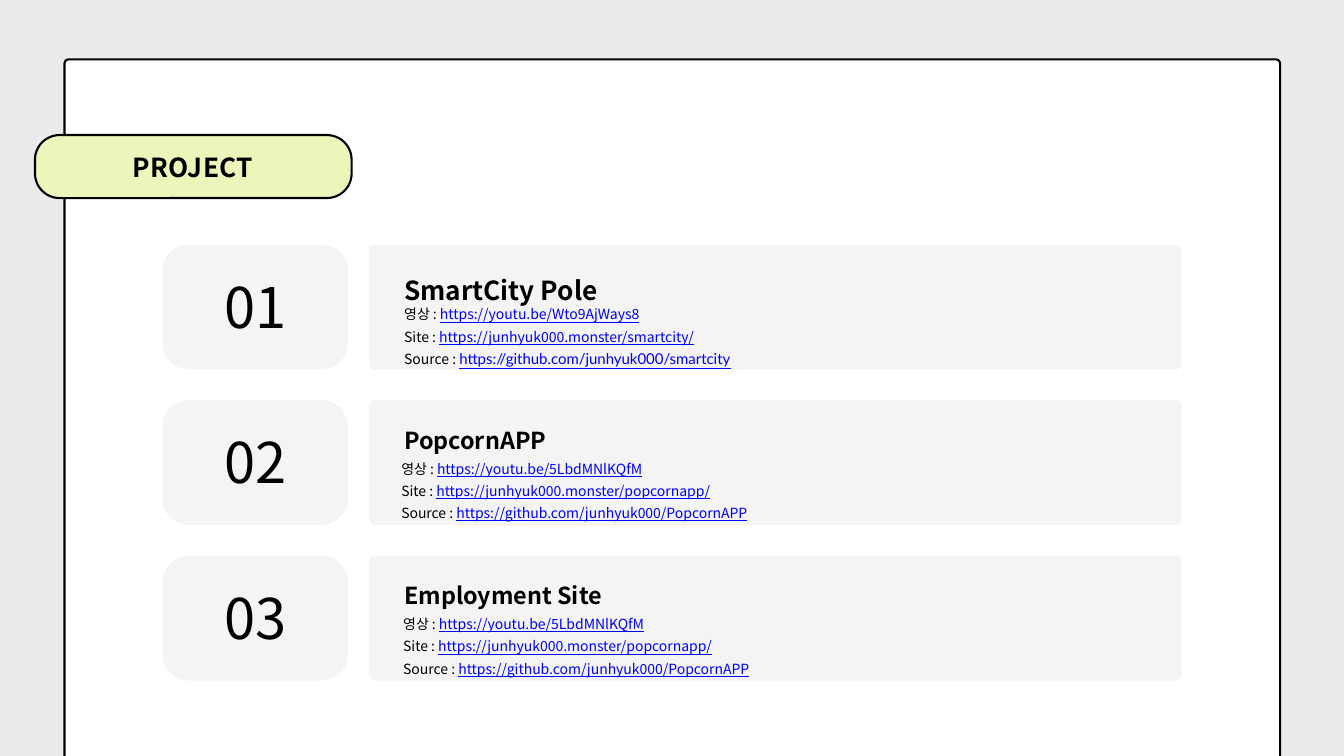
from dataclasses import dataclass

from lxml import etree
from pptx import Presentation
from pptx.dml.color import RGBColor
from pptx.enum.shapes import MSO_SHAPE as Shape
from pptx.enum.text import PP_ALIGN as Align
from pptx.oxml.ns import qn
from pptx.util import Pt

FONT = "Noto Sans CJK KR"
BLACK, BLUE, PANEL = "000000", "0000FF", "F4F4F4"
FIRST_ROW, ROW_PITCH, ROW_HEIGHT = 174.7, 111.1, 89.2


@dataclass(frozen=True)
class Link:
    label: str
    url: str
    font: str = FONT
    size: float = 10


@dataclass(frozen=True)
class Project:
    title: str
    title_size: float
    title_spacing: float
    links_left: float
    links_offset: float
    links: tuple[Link, ...]


POPCORN_LINKS = (
    Link("영상 : ", "https://youtu.be/5LbdMNlKQfM"),
    Link("Site : ", "https://junhyuk000.monster/popcornapp/"),
    Link("Source : ", "https://github.com/junhyuk000/PopcornAPP"),
)
PROJECTS = (
    Project("SmartCity Pole", 18.7, 35.5, 288.7, 39.9, (
        Link("영상 : ", "https://youtu.be/Wto9AjWays8"),
        Link("Site : ", "https://junhyuk000.monster/smartcity/"),
        Link("Source : ", "https://github.com/junhyuk000/smartcity", "Lato", 10.7),
    )),
    Project("PopcornAPP", 16.7, 30, 286.6, 38.9, POPCORN_LINKS),
    Project("Employment Site", 16.7, 30, 288, 38.9, POPCORN_LINKS),
)


def rgb(color: str) -> RGBColor:
    return RGBColor.from_string(color)


def add_panel(s, left: float, top: float, width: float, height: float,
              radius: float, fill: str, outlined: bool = False) -> None:
    """Add a rounded rectangle whose corner radius is given in points."""
    sp = s.shapes.add_shape(Shape.ROUNDED_RECTANGLE,
                            Pt(left), Pt(top), Pt(width), Pt(height))
    sp.adjustments[0] = radius / min(width, height)
    sp.shadow.inherit = False
    sp.fill.solid()
    sp.fill.fore_color.rgb = rgb(fill)
    if outlined:
        sp.line.color.rgb = rgb(BLACK)
        sp.line.width = Pt(1.5)
    else:
        sp.line.fill.background()


def add_box(s, left: float, top: float, width: float, height: float):
    tf = s.shapes.add_textbox(Pt(left), Pt(top), Pt(width), Pt(height)).text_frame
    tf.word_wrap = True
    tf.margin_left = tf.margin_top = tf.margin_right = tf.margin_bottom = 0
    return tf


def add_run(p, text: str, *, size: float, font: str = FONT, color: str = BLACK,
            bold: bool = False, underline: bool = False, tracking: float = 0) -> None:
    r = p.add_run()
    r.text = text
    r.font.size = Pt(size)
    r.font.name = font
    r.font.bold = bold
    r.font.underline = underline
    r.font.color.rgb = rgb(color)
    r_pr = r.font._element
    etree.SubElement(r_pr, qn("a:ea")).set("typeface", font)
    if tracking:
        r_pr.set("spc", str(round(tracking * 100)))


def add_line(s, text: str, left: float, top: float, width: float, height: float, *,
             spacing: float, align: Align = Align.LEFT, **style) -> None:
    """Add a text box that holds one formatted line."""
    p = add_box(s, left, top, width, height).paragraphs[0]
    p.alignment = align
    p.line_spacing = Pt(spacing)
    add_run(p, text, **style)


def add_links(s, project: Project, top: float) -> None:
    tf = add_box(s, project.links_left, top + project.links_offset, 531.4, 47.7)
    for i, link in enumerate(project.links):
        p = tf.add_paragraph() if i else tf.paragraphs[0]
        p.line_spacing = Pt(15.9)
        add_run(p, link.label, size=10)
        add_run(p, link.url, size=link.size, font=link.font, color=BLUE, underline=True)


def add_project(s, number: int, project: Project) -> None:
    top = FIRST_ROW + (number - 1) * ROW_PITCH
    add_panel(s, 263.7, top, 580.3, ROW_HEIGHT, 4.3, PANEL)
    add_panel(s, 116, top, 132.6, ROW_HEIGHT, 19.2, PANEL)
    add_line(s, f"{number:02}", 153.4, top + 19.8, 57.6, 48,
             spacing=48, align=Align.CENTER, size=40)
    add_line(s, project.title, 288.7, top + 8.4, 218.2, project.title_spacing,
             spacing=project.title_spacing, size=project.title_size, bold=True)
    add_links(s, project, top)


def main() -> None:
    prs = Presentation()
    prs.slide_width, prs.slide_height = Pt(960), Pt(540)
    s = prs.slides.add_slide(prs.slide_layouts[6])
    s.background.fill.solid()
    s.background.fill.fore_color.rgb = rgb("EBEBEB")

    add_panel(s, 46.1, 42.4, 868.3, 520.3, 3, "FFFFFF", outlined=True)
    for number, project in enumerate(PROJECTS, 1):
        add_project(s, number, project)
    add_panel(s, 25, 96.5, 226.2, 45, 17.6, "ECF5BA", outlined=True)
    add_line(s, "PROJECT", 69.1, 104.4, 137.5, 26.1, spacing=26.1,
             align=Align.CENTER, size=18.7, bold=True, tracking=0.3)
    prs.save("out.pptx")


if __name__ == "__main__":
    main()
